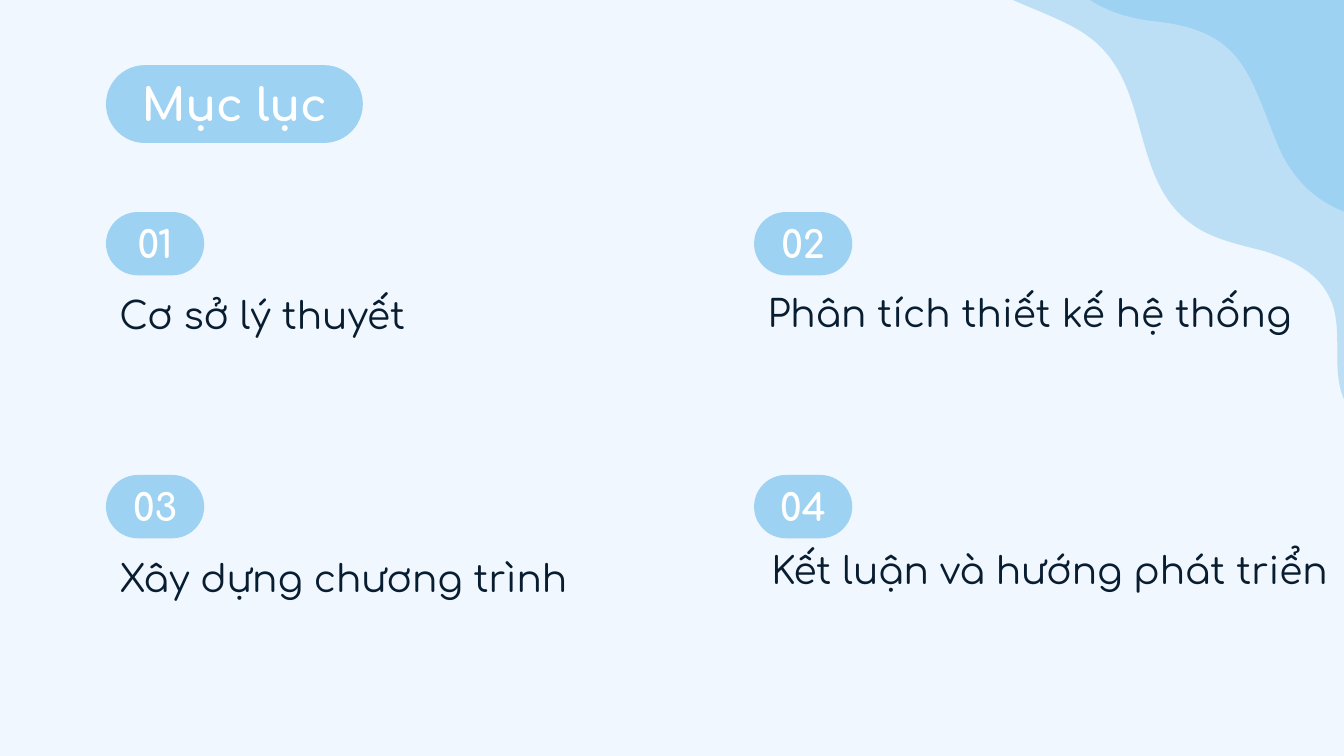
from copy import deepcopy

from lxml import etree
from pptx import Presentation
from pptx.dml.color import RGBColor
from pptx.enum import shapes, text
from pptx.oxml.ns import qn
from pptx.util import Pt

FONT = "Comfortaa"
BACKDROP = RGBColor(0xF0, 0xF7, 0xFE)
PALE_BLUE = RGBColor(0xBC, 0xDF, 0xF6)
SKY_BLUE = RGBColor(0x9E, 0xD2, 0xF2)
NAVY = RGBColor(0x09, 0x1D, 0x31)
WHITE = RGBColor(0xFF, 0xFF, 0xFF)

# Waves: colour, straight edge, then Bezier triples (control, control, end)
WAVES = [
    (PALE_BLUE, [(724.3, -34.6), (724.3, 221.8)], [
        ((722.9, 220.3), (722.2, 218.2), (721.4, 216.7)),
        ((716.4, 208.1), (716.4, 197.3), (716.4, 187.2)),
        ((716.4, 177.1), (716.4, 166.3), (711.4, 157.7)),
        ((704.9, 145.4), (691.2, 139), (677.5, 134.6)),
        ((663.8, 131), (649.4, 128.2), (638.6, 120.2)),
        ((606.2, 97.2), (616.3, 49.7), (588.2, 23.8)),
        ((567.4, 3.6), (519.8, 0.7), (507.6, -29.5))]),
    (SKY_BLUE, [(738, -49), (557.3, -49)], [
        ((558, -20.9), (576, 7.2), (619.2, 11.5)),
        ((666, 16.6), (668.9, 39.6), (684, 76.3)),
        ((697.7, 110.9), (726.5, 116.6), (738, 117.4))]),
]

# Entries: caption, caption width, caption shift from the grid
ENTRIES = [
    ("Cơ sở lý thuyết", 192, (0, 0)),
    ("Phân tích thiết kế hệ thống", 310, (0, -1)),
    ("Xây dựng chương trình", 257, (0, 0)),
    ("Kết luận và hướng phát triển", 314, (2, -4.4)),
]
LEFT, COLUMN_STEP = 56.8, 347.2
TOP, ROW_STEP = 113.6, 140.9
BADGE_WIDTH, BADGE_HEIGHT = 52.6, 33.9
CAPTION_HEIGHT = 42


def write(shape, words, size, color, align, bold=False):
    frame = shape.text_frame
    frame.text = words
    frame.auto_size = text.MSO_AUTO_SIZE.NONE
    frame.word_wrap = True
    frame.vertical_anchor = text.MSO_ANCHOR.MIDDLE
    frame.margin_left = frame.margin_right = Pt(7.2)
    frame.margin_top = frame.margin_bottom = Pt(7.2)
    para = frame.paragraphs[0]
    para.alignment = align
    para.font.name = FONT
    para.font.size = Pt(size)
    para.font.bold = bold
    para.font.color.rgb = color


def paint(shape, color):
    shape.shadow.inherit = False
    shape.fill.solid()
    shape.fill.fore_color.rgb = color
    shape.line.fill.background()


def add_pill(page, box, words, size):
    pill = page.shapes.add_shape(
        shapes.MSO_SHAPE.ROUNDED_RECTANGLE, *map(Pt, box))
    pill.adjustments[0] = 0.5
    paint(pill, SKY_BLUE)
    write(pill, words, size, WHITE, text.PP_ALIGN.CENTER, bold=True)


def add_caption(holder, box, words):
    holder.left, holder.top, holder.width, holder.height = map(Pt, box)
    write(holder, words, 20, NAVY, text.PP_ALIGN.LEFT)


def add_entry(page, holder, left, top, number, entry):
    words, width, (dx, dy) = entry
    add_pill(page, (left, top, BADGE_WIDTH, BADGE_HEIGHT), f"{number:02}", 20)
    add_caption(holder, (left + dx, top + BADGE_HEIGHT + dy,
                         width, CAPTION_HEIGHT), words)


def add_wave(page, layer, color, edge, curves):
    corners = edge + [curve[-1] for curve in curves]
    builder = page.shapes.build_freeform(*map(Pt, corners[0]), scale=1)
    builder.add_line_segments([(Pt(x), Pt(y)) for x, y in corners[1:]])
    wave = builder.convert_to_shape()
    paint(wave, color)

    # Bend the segments after the straight edge
    segments = wave.element.findall(".//" + qn("a:lnTo"))[1:]
    for segment, curve in zip(segments, curves):
        segment.tag = qn("a:cubicBezTo")
        segment.clear()
        for x, y in curve:
            etree.SubElement(segment, qn("a:pt"), x=str(Pt(x) - wave.left),
                             y=str(Pt(y) - wave.top))

    # Behind the text
    wave.element.getparent().insert(2 + layer, wave.element)


def add_title_holders(page, count):
    """Repeat the title placeholder, one for each caption."""
    title = page.shapes.title.element
    for number in range(1, count):
        twin = deepcopy(title)
        label = twin.find(".//" + qn("p:cNvPr"))
        label.set("id", str(100 + number))
        label.set("name", f"Title {number + 1}")
        title.getparent().append(twin)
    return list(page.placeholders)


def build_contents(deck):
    page = deck.slides.add_slide(deck.slide_layouts.get_by_name("Title Only"))
    page.background.fill.solid()
    page.background.fill.fore_color.rgb = BACKDROP

    # Two-by-two grid of entries
    holders = add_title_holders(page, len(ENTRIES))
    for index, (holder, entry) in enumerate(zip(holders, ENTRIES)):
        row, column = divmod(index, 2)
        add_entry(page, holder, LEFT + column * COLUMN_STEP,
                  TOP + row * ROW_STEP, index + 1, entry)

    # Heading
    add_pill(page, (LEFT, 34.9, 137.6, 41.7), "Mục lục", 24)

    # Corner decoration
    for layer, wave in enumerate(WAVES):
        add_wave(page, layer, *wave)


def main():
    deck = Presentation()
    deck.slide_width, deck.slide_height = Pt(720), Pt(405)
    build_contents(deck)
    deck.save("out.pptx")


if __name__ == "__main__":
    main()
